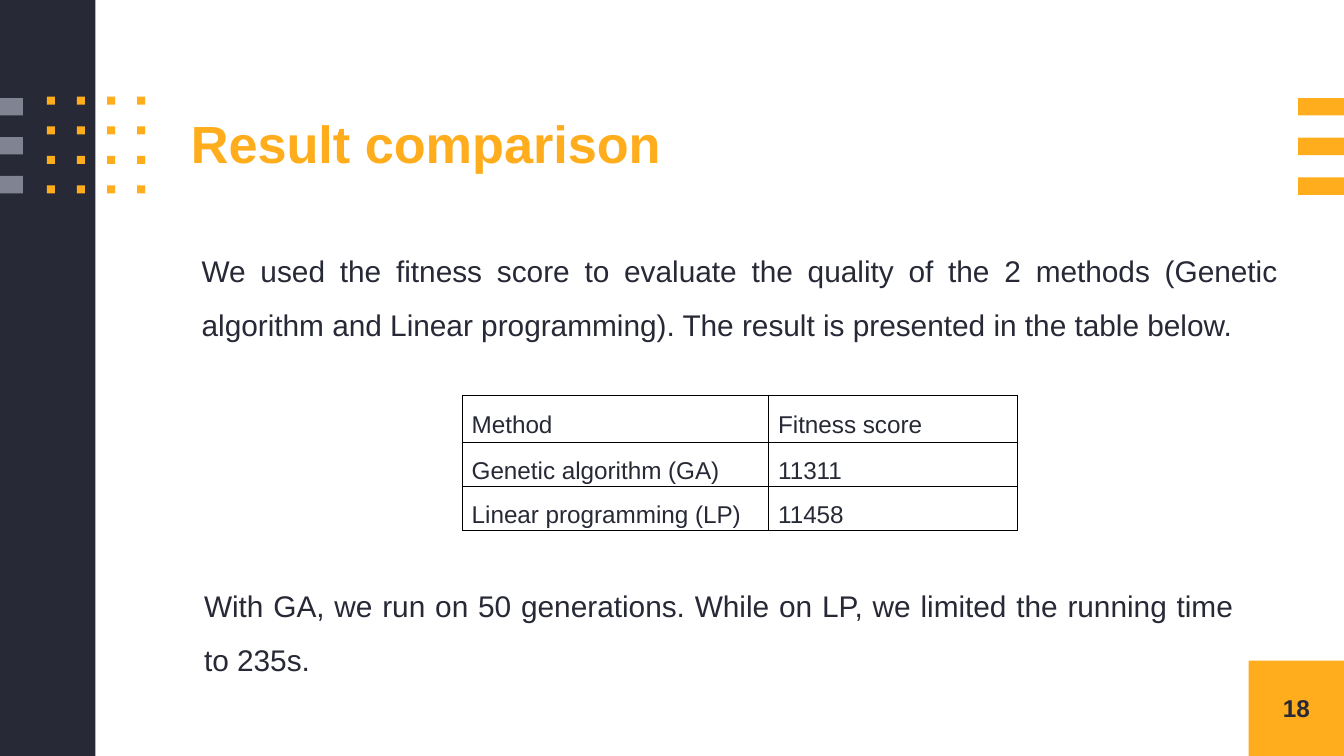
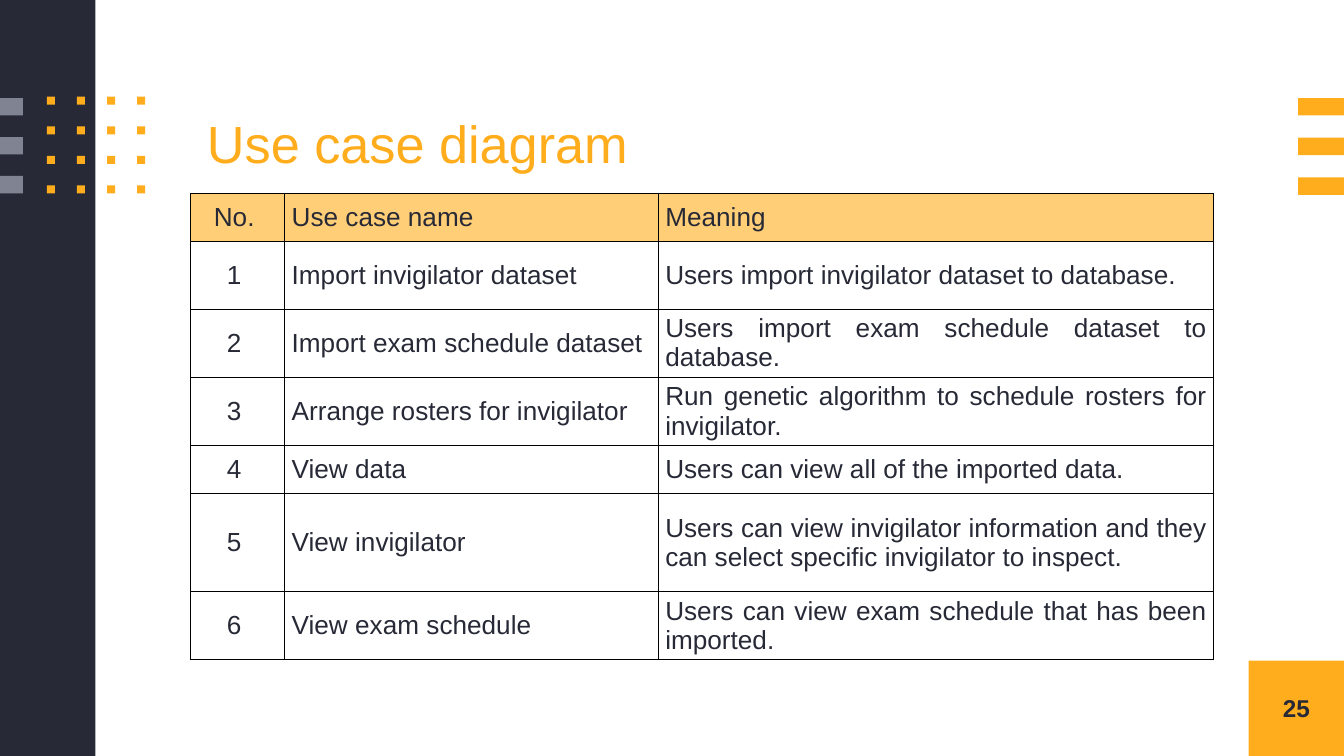
from dataclasses import dataclass
from itertools import product

from lxml.etree import SubElement as Sub
from pptx import Presentation
from pptx.dml.color import RGBColor
from pptx.enum.shapes import MSO_SHAPE as Shape
from pptx.enum.text import MSO_ANCHOR as Anchor, PP_ALIGN as Align
from pptx.oxml.ns import qn
from pptx.slide import Slide
from pptx.util import Inches, Pt

# Shared look
FONT = "Arial"
GOLD, DARK, GREY, PALE, BLACK = "FFAD1D", "272A36", "808392", "FFCE77", "000000"
WIDE = 10
HIGH = WIDE * 9 / 16
BAND = 0.71


@dataclass(frozen=True)
class Box:
    x: float
    y: float
    w: float
    h: float


@dataclass(frozen=True)
class Style:
    size: float
    color: str = DARK
    bold: bool = False
    align: Align = Align.LEFT
    line: float = 1.0
    before: float = 0
    after: float = 0
    left: float = 0


@dataclass(frozen=True)
class Grid:
    box: Box
    cols: list[float]
    rows: list[float]
    cells: list[list[str]]
    head: list[Style]
    body: list[Style]
    pad: tuple[float, float]
    line: float
    fill: str = ""


PAGE = Box(WIDE - BAND, HIGH - BAND, BAND, BAND)
TITLE = Box(1.42, 0.73, 8.58, 0.72)


def paint(fill, color: str) -> None:
    fill.solid()
    fill.fore_color.rgb = RGBColor.from_string(color)


def spread(first: float, last: float, count: int) -> list[float]:
    return [first + (last - first) * i / (count - 1) for i in range(count)]


def place(box: Box) -> tuple:
    return Inches(box.x), Inches(box.y), Inches(box.w), Inches(box.h)


def block(slide: Slide, box: Box, color: str) -> None:
    shape = slide.shapes.add_shape(Shape.RECTANGLE, *place(box))
    shape.shadow.inherit = False
    paint(shape.fill, color)
    shape.line.fill.background()


def write(frame, text: str, style: Style) -> None:
    frame.text = text
    para = frame.paragraphs[0]
    para.alignment = style.align
    para.line_spacing = style.line
    para.space_before, para.space_after = Pt(style.before), Pt(style.after)
    props = para._p.get_or_add_pPr()
    props.set("marL", str(Inches(style.left)))
    props.set("indent", "0")
    for run in para.runs:
        font = run.font
        font.name, font.size, font.bold = FONT, Pt(style.size), style.bold
        paint(font.fill, style.color)


def label(slide: Slide, box: Box, text: str, style: Style,
          anchor: Anchor = Anchor.TOP, pad: tuple[float, float] = (0, 0)) -> None:
    frame = slide.shapes.add_textbox(*place(box)).text_frame
    frame.word_wrap = True
    frame.vertical_anchor = anchor
    frame.margin_left = frame.margin_right = Inches(pad[0])
    frame.margin_top = frame.margin_bottom = Inches(pad[1])
    write(frame, text, style)


def border(cell, width: float) -> None:
    props = cell._tc.get_or_add_tcPr()
    for side in ("lnL", "lnR", "lnT", "lnB"):
        line = Sub(props, qn(f"a:{side}"), w=str(Pt(width)))
        Sub(Sub(line, qn("a:solidFill")), qn("a:srgbClr"), val=BLACK)


def table(slide: Slide, grid: Grid) -> None:
    rows, cols = len(grid.rows), len(grid.cols)
    item = slide.shapes.add_table(rows, cols, *place(grid.box)).table
    item.first_row = item.horz_banding = False
    for col, width in zip(item.columns, grid.cols):
        col.width = Inches(width)
    for row, height in zip(item.rows, grid.rows):
        row.height = Inches(height)
    for r, c in product(range(rows), range(cols)):
        cell = item.cell(r, c)
        cell.vertical_anchor = Anchor.MIDDLE
        cell.margin_left = cell.margin_right = Inches(grid.pad[0])
        cell.margin_top = cell.margin_bottom = Inches(grid.pad[1])
        border(cell, grid.line)
        if r == 0 and grid.fill:
            paint(cell.fill, grid.fill)
        else:
            cell.fill.background()
        styles = grid.body if r else grid.head
        write(cell.text_frame, grid.cells[r][c], styles[c])


def start(deck, title: str, look: Style, page: int) -> Slide:
    """Add a slide with bands, dots, title and page number."""
    slide = deck.slides.add_slide(deck.slide_layouts[6])
    block(slide, PAGE, GOLD)
    block(slide, Box(0, 0, BAND, HIGH), DARK)
    for y in spread(0.73, 1.31, 3):
        block(slide, Box(0, y, 0.17, 0.13), GREY)
    for y, x in product(spread(0.72, 1.38, 4), spread(0.35, 1.02, 4)):
        block(slide, Box(x, y, 0.06, 0.06), GOLD)
    for y in spread(0.73, 1.32, 3):
        block(slide, Box(9.66, y, 0.34, 0.13), GOLD)
    number = Style(13, bold=True, align=Align.CENTER)
    label(slide, PAGE, str(page), number, Anchor.MIDDLE)
    label(slide, TITLE, title, look, Anchor.MIDDLE)
    return slide


def result(deck) -> None:
    look = Style(28, GOLD, bold=True, line=0.9)
    slide = start(deck, "Result comparison", look, 18)
    label(slide, Box(1.42, 1.75, 8.09, 1),
          "We used the fitness score to evaluate the quality of the 2 methods "
          "(Genetic algorithm and Linear programming). The result is presented "
          "in the table below. ",
          Style(16, align=Align.JUSTIFY, line=1.5, before=6, after=12, left=0.08))
    head = Style(13, line=1.5, after=12)
    score = Style(13, align=Align.JUSTIFY, line=1.5, after=12)
    table(slide, Grid(
        Box(3.44, 2.94, 4.13, 1), [2.28, 1.85], [0.35, 0.33, 0.32],
        [["Method", "Fitness score"],
         ["Genetic algorithm (GA)", "11311"],
         ["Linear programming (LP)", "11458"]],
        [head] * 2, [score] * 2, (0.07, 0), 0.75))
    label(slide, Box(1.42, 4.19, 7.86, 0.86),
          "With GA, we run on 50 generations. While on LP, we limited the "
          "running time to 235s.",
          Style(16, align=Align.JUSTIFY, line=1.5, after=12), pad=(0.1, 0.05))


def cases(deck) -> None:
    look = Style(28, GOLD, align=Align.JUSTIFY, line=0.9, left=0.12)
    slide = start(deck, "Use case diagram", look, 25)
    full = Style(14, align=Align.JUSTIFY)
    styles = [Style(14, align=Align.CENTER), full, full]
    # Hard spaces keep some words at a fixed gap in justified lines
    uses = [
        ("Import invigilator dataset ",
         "Users import invigilator dataset to database."),
        ("Import exam schedule dataset ",
         "Users import exam schedule dataset to database."),
        ("Arrange rosters for invigilator ",
         "Run genetic algorithm to schedule rosters for invigilator."),
        ("View data ", "Users can view all of the imported data. "),
        ("View invigilator ",
         "Users can view invigilator information and they can select "
         "specific invigilator to inspect."),
        ("View exam schedule  ",
         "Users can view exam schedule that has been imported."),
    ]
    cells = [["No. ", "Use case name ", "Meaning "]]
    cells += [[f"{i} ", name, text] for i, (name, text) in enumerate(uses, 1)]
    table(slide, Grid(
        Box(1.42, 1.44, 7.61, 3.5), [0.7, 2.78, 4.13],
        [0.36, 0.5, 0.5, 0.5, 0.36, 0.73, 0.5], cells,
        styles, styles, (0.05, 0.02), 0.6, PALE))


def main() -> None:
    deck = Presentation()
    deck.slide_width, deck.slide_height = Inches(WIDE), Inches(HIGH)
    result(deck)
    cases(deck)
    deck.save("out.pptx")


if __name__ == "__main__":
    main()
